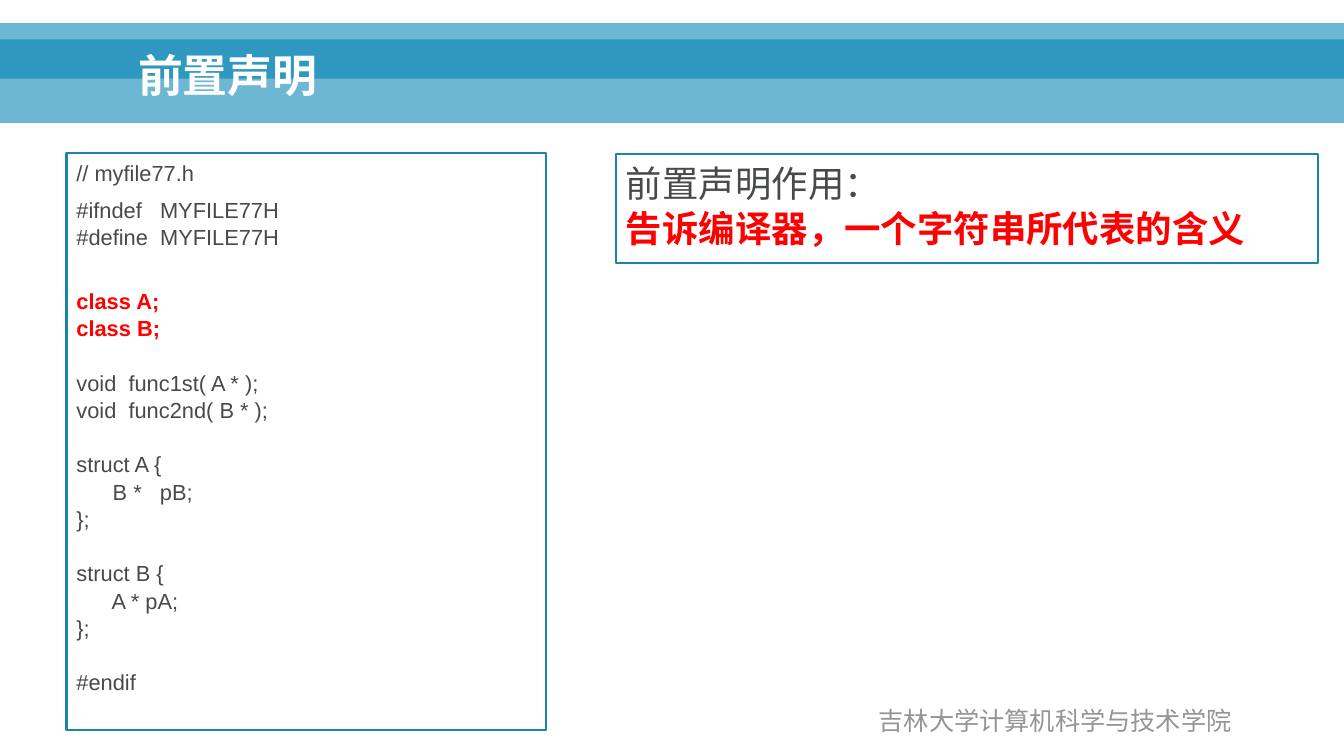
from dataclasses import dataclass

from lxml import etree
from pptx import Presentation, util as u
from pptx.dml.color import RGBColor
from pptx.enum import shapes, text
from pptx.oxml.ns import qn


@dataclass(frozen=True)
class Theme:
    font: str = "Arial"
    band: str = "0082B3"
    band_alpha: int = 57
    border: str = "1985A7"
    ink: str = "47494B"
    accent: str = "FF0000"
    light: str = "FFFFFF"
    muted: str = "959596"
    title_size: float = 32
    note_size: float = 26
    footer_size: float = 18
    code_size: float = 15.6
    border_width: float = 1.5
    gap: float = 7
    spacing: float = 1.04


class SlideBuilder:
    """Draws styled elements on one page."""

    def __init__(self, page, theme):
        self.page = page
        self.theme = theme

    def add_text(self, para, content, size, color, bold=False):
        for index, line in enumerate(content.split("\n")):
            if index:
                para.add_line_break()
            if line:
                span = para.add_run()
                span.text = line
                span.font.name = self.theme.font
                span.font.size = u.Pt(size)
                span.font.bold = bold
                span.font.color.rgb = RGBColor.from_string(color)
        for line_break in para._p.findall(qn("a:br")):
            if line_break.find(qn("a:rPr")) is None:
                props = etree.SubElement(line_break, qn("a:rPr"))
                props.set("sz", str(round(size * 100)))

    def rectangle(self, left, top, width, height):
        box = self.page.shapes.add_shape(
            shapes.MSO_SHAPE.RECTANGLE,
            u.Inches(left), u.Inches(top), u.Inches(width), u.Inches(height))
        box.shadow.inherit = False
        return box

    def band(self, top, height):
        box = self.rectangle(0, top, 13.33, height)
        box.line.fill.background()
        box.fill.solid()
        box.fill.fore_color.rgb = RGBColor.from_string(self.theme.band)
        color = box._element.spPr.find(qn("a:solidFill"))[0]
        alpha = etree.SubElement(color, qn("a:alpha"))
        alpha.set("val", str(self.theme.band_alpha * 1000))

    def title(self, content):
        box = self.page.shapes.title
        self.page.shapes._spTree.append(box._element)
        box.left, box.top = u.Inches(1.27), u.Inches(0.28)
        box.width, box.height = u.Inches(7.74), u.Inches(0.78)
        frame = box.text_frame
        frame.vertical_anchor = text.MSO_ANCHOR.BOTTOM
        para = frame.paragraphs[0]
        para.alignment = text.PP_ALIGN.LEFT
        para.line_spacing = 0.9
        self.add_text(para, content, self.theme.title_size, self.theme.light, True)

    def footer(self, content):
        box = self.page.shapes.add_textbox(
            u.Inches(7.33), u.Inches(6.95), u.Inches(6.27), u.Inches(0.4))
        frame = box.text_frame
        frame.word_wrap = True
        frame.vertical_anchor = text.MSO_ANCHOR.MIDDLE
        para = frame.paragraphs[0]
        para.alignment = text.PP_ALIGN.CENTER
        self.add_text(para, content, self.theme.footer_size, self.theme.muted)

    def panel(self, left, top, width, height, size, paragraphs):
        box = self.rectangle(left, top, width, height)
        box.fill.background()
        box.line.color.rgb = RGBColor.from_string(self.theme.border)
        box.line.width = u.Pt(self.theme.border_width)
        frame = box.text_frame
        frame.word_wrap = True
        frame.vertical_anchor = text.MSO_ANCHOR.TOP
        for index, pieces in enumerate(paragraphs):
            para = frame.add_paragraph() if index else frame.paragraphs[0]
            para.alignment = text.PP_ALIGN.LEFT
            para.line_spacing = self.theme.spacing
            if index:
                para.space_before = u.Pt(self.theme.gap)
            for content, accented in pieces:
                color = self.theme.accent if accented else self.theme.ink
                self.add_text(para, content, size, color, accented)


DECLARATIONS = """class A;
class B;

"""

DEFINITIONS = """void  func1st( A * );
void  func2nd( B * );

struct A { 
      B *   pB;
};

struct B {
      A * pA;
};

#endif"""

CODE = [
    [("// myfile77.h", False)],
    [("#ifndef   MYFILE77H\n#define  MYFILE77H\n", False)],
    [(DECLARATIONS, True), (DEFINITIONS, False)],
]

NOTE = [[("前置声明作用：\n", False), ("告诉编译器，一个字符串所代表的含义", True)]]


def main():
    deck = Presentation()
    deck.slide_width, deck.slide_height = u.Inches(13.33), u.Inches(7.5)
    theme = Theme()
    builder = SlideBuilder(deck.slides.add_slide(deck.slide_layouts[5]), theme)
    builder.band(0.39, 0.83)
    builder.band(0.23, 0.55)
    builder.title("前置声明")
    builder.footer("吉林大学计算机科学与技术学院")
    builder.panel(0.66, 1.52, 4.76, 5.72, theme.code_size, CODE)
    builder.panel(6.11, 1.53, 6.96, 1.08, theme.note_size, NOTE)
    deck.save("out.pptx")


if __name__ == "__main__":
    main()
